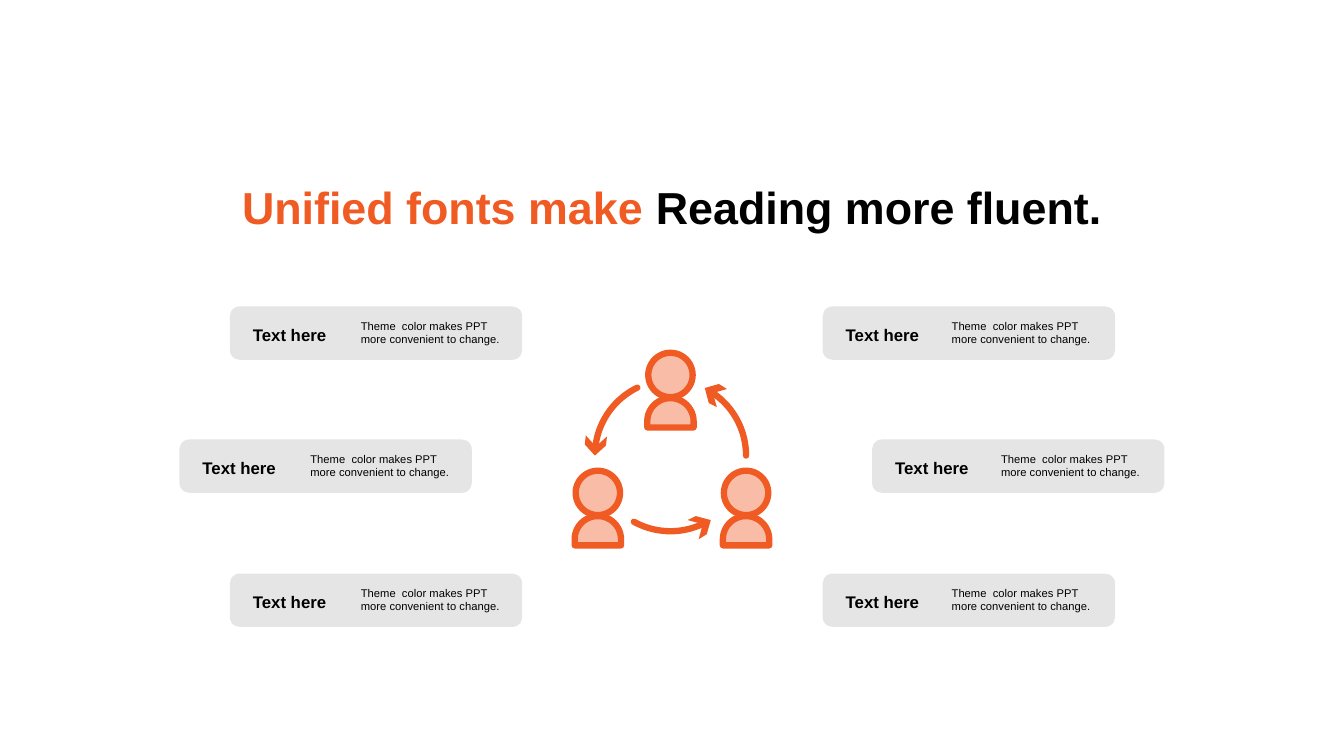
from dataclasses import dataclass
from math import cos, radians, sin

from lxml.etree import SubElement
from pptx import Presentation
from pptx.dml.color import RGBColor
from pptx.enum.shapes import MSO_SHAPE
from pptx.enum.text import MSO_ANCHOR, PP_ALIGN
from pptx.oxml.ns import qn
from pptx.util import Emu, Pt

EMU_PER_PX = 9144
ORANGE = "F05A23"
PEACH = "F9BDA7"
GRAY = "808080"
BLACK = "000000"
STROKE = 4.5
CYCLE_CENTER = (665, 452)
CYCLE_RADIUS = 75
HEAD_RADIUS = 22
BODY_RADIUS = 23
BODY_DROP = 46
BASE_DROP = 52
CARD_SIZE = (290, 53)
DETAIL_SIZE = (162, 34)
ROW_TOPS = [304 + 265 * row // 2 for row in range(3)]

HEADLINE_FORMAT = {"name": "Arial", "size": Pt(32), "bold": True}
LABEL_FORMAT = {"name": "Arial", "size": Pt(12), "bold": True}
DETAIL_FORMAT = {"name": "Arial", "size": Pt(8)}


@dataclass
class Person:
    x: int
    y: int


@dataclass
class CycleArrow:
    start: int
    end: int
    tip: list[tuple[int, int]]


@dataclass
class CardColumn:
    lefts: list[int]
    detail_offset: int


PEOPLE = [Person(665, 372), Person(740, 489), Person(593, 489)]
ARROWS = [
    CycleArrow(119, 64, [(682, 516), (697, 520), (693, 535), (701, 530), (705, 516), (690, 512)]),
    CycleArrow(0, -58, [(711, 404), (707, 390), (721, 386), (713, 381), (699, 385), (703, 400)]),
    CycleArrow(244, 185, [(602, 433), (591, 443), (581, 432), (580, 441), (590, 452), (601, 442)]),
]
COLUMNS = [CardColumn([228, 178, 228], 120), CardColumn([816, 865, 816], 118)]


def px(length: float) -> Emu:
    return Emu(round(length * EMU_PER_PX))


def color(value: str) -> RGBColor:
    return RGBColor.from_string(value)


def paint(shape, fill: str | None, outline: str | None = None) -> None:
    shape.shadow.inherit = False
    if fill:
        shape.fill.solid()
        shape.fill.fore_color.rgb = color(fill)
    else:
        shape.fill.background()
    if outline:
        shape.line.color.rgb = color(outline)
        shape.line.width = Pt(STROKE)
    else:
        shape.line.fill.background()


def write(paragraph, text: str, formats: dict, tint: str) -> None:
    run = paragraph.add_run()
    run.text = text
    for attribute, value in formats.items():
        setattr(run.font, attribute, value)
    run.font.color.rgb = color(tint)


def arc_points(center: tuple[int, int], radius: int, start: int, end: int, steps: int = 24) -> list[tuple[float, float]]:
    angles = [radians(start + (end - start) * step / steps) for step in range(steps + 1)]
    return [(center[0] + radius * cos(angle), center[1] + radius * sin(angle)) for angle in angles]


def draw_outline(shapes, points: list, close: bool = True):
    corners = [(px(x), px(y)) for x, y in points]
    builder = shapes.build_freeform(*corners[0], scale=1.0)
    builder.add_line_segments(corners[1:], close=close)
    return builder.convert_to_shape()


def draw_arrow(shapes, arrow: CycleArrow) -> None:
    arc = draw_outline(shapes, arc_points(CYCLE_CENTER, CYCLE_RADIUS, arrow.start, arrow.end), close=False)
    paint(arc, None, ORANGE)
    arc._element.spPr.find(qn("a:ln")).set("cap", "rnd")
    paint(draw_outline(shapes, arrow.tip), ORANGE)


def draw_person(shapes, person: Person) -> None:
    head = shapes.add_shape(
        MSO_SHAPE.OVAL, px(person.x - HEAD_RADIUS), px(person.y - HEAD_RADIUS), px(2 * HEAD_RADIUS), px(2 * HEAD_RADIUS)
    )
    paint(head, PEACH, ORANGE)
    base = person.y + BASE_DROP
    shoulders = arc_points((person.x, person.y + BODY_DROP), BODY_RADIUS, 180, 360)
    body = draw_outline(shapes, shoulders + [(person.x + BODY_RADIUS, base), (person.x - BODY_RADIUS, base)])
    paint(body, PEACH, ORANGE)


def draw_card(shapes, left: int, top: int, detail_offset: int) -> None:
    card = shapes.add_shape(MSO_SHAPE.ROUNDED_RECTANGLE, px(left), px(top), *map(px, CARD_SIZE))
    card.adjustments[0] = 0.185
    paint(card, GRAY)
    tone = card._element.spPr.find(qn("a:solidFill")).find(qn("a:srgbClr"))
    SubElement(tone, qn("a:alpha")).set("val", "20000")
    frame = card.text_frame
    frame.vertical_anchor = MSO_ANCHOR.MIDDLE
    frame.margin_left = px(20)
    frame.margin_top = frame.margin_right = frame.margin_bottom = 0
    label = frame.paragraphs[0]
    label.alignment = PP_ALIGN.LEFT
    label.line_spacing = 1.2
    write(label, "Text here", LABEL_FORMAT, BLACK)

    detail = shapes.add_textbox(px(left + detail_offset), px(top + 9), *map(px, DETAIL_SIZE)).text_frame
    detail.word_wrap = True
    detail.vertical_anchor = MSO_ANCHOR.MIDDLE
    for side in ("left", "top", "right", "bottom"):
        setattr(detail, f"margin_{side}", px(10))
    write(detail.paragraphs[0], "Theme  color makes PPT more convenient to change.", DETAIL_FORMAT, BLACK)


def draw_headline(shapes) -> None:
    frame = shapes.add_textbox(px(222), px(148), px(889), px(89)).text_frame
    frame.word_wrap = False
    frame.vertical_anchor = MSO_ANCHOR.BOTTOM
    headline = frame.paragraphs[0]
    headline.alignment = PP_ALIGN.CENTER
    write(headline, "Unified fonts make ", HEADLINE_FORMAT, ORANGE)
    write(headline, "Reading more fluent.", HEADLINE_FORMAT, BLACK)


def main() -> None:
    deck = Presentation()
    deck.slide_width = px(1333)
    deck.slide_height = px(750)
    shapes = deck.slides.add_slide(deck.slide_layouts[6]).shapes
    for arrow in ARROWS:
        draw_arrow(shapes, arrow)
    for person in PEOPLE:
        draw_person(shapes, person)
    for column in COLUMNS:
        for left, top in zip(column.lefts, ROW_TOPS):
            draw_card(shapes, left, top, column.detail_offset)
    draw_headline(shapes)
    deck.save("out.pptx")


if __name__ == "__main__":
    main()
